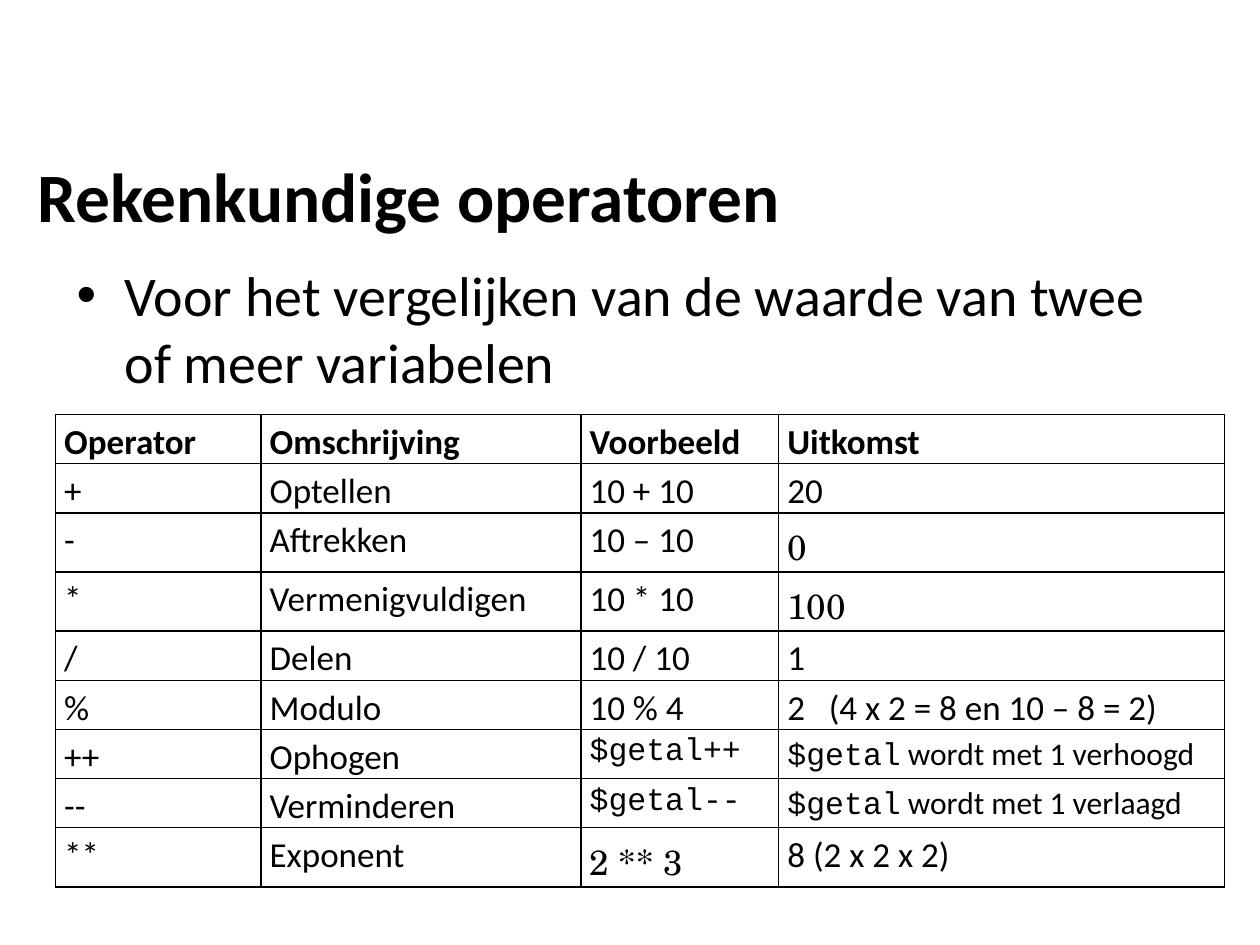
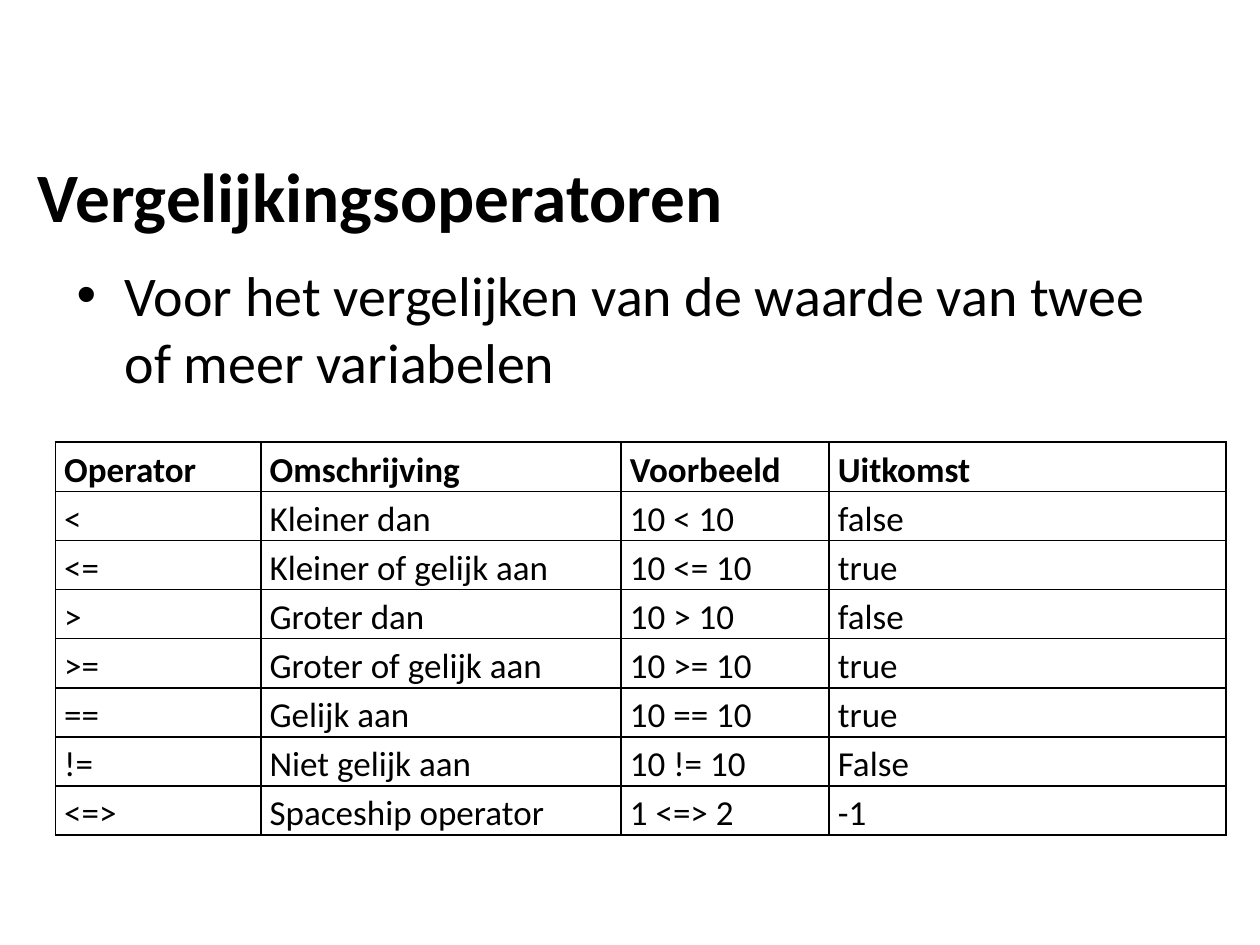
"""Build two slides that list arithmetic and comparison operators in tables."""
from lxml import etree
from pptx import Presentation
from pptx import util as u
from pptx.dml.color import RGBColor
from pptx.enum import text
from pptx.oxml import ns

BLACK = "000000"
BODY_FONT, CODE_FONT, SERIF_FONT = "Calibri", "Courier New", "TeX Gyre Schola"
SERIF_CELLS = {"0", "100", "2 ** 3"}
ROW_HEIGHT, SERIF_ROW_HEIGHT = 0.39, 0.47
INTRO = "Voor het vergelijken van de waarde van twee of meer variabelen"
HEADER = ("Operator", "Omschrijving", "Voorbeeld", "Uitkomst")

SLIDES = [
    ("Rekenkundige operatoren", 3.29, (1.63, 2.54, 1.57, 3.54), [
        HEADER,
        ("+", "Optellen", "10 + 10", "20"),
        ("-", "Aftrekken", "10 – 10", "0"),
        ("*", "Vermenigvuldigen", "10 * 10", "100"),
        ("/", "Delen", "10 / 10", "1"),
        ("%", "Modulo", "10 % 4", "2   (4 x 2 = 8 en 10 – 8 = 2)"),
        ("++", "Ophogen", "$getal++", "$getal wordt met 1 verhoogd"),
        ("--", "Verminderen", "$getal--", "$getal wordt met 1 verlaagd"),
        ("**", "Exponent", "2 ** 3", "8 (2 x 2 x 2)"),
    ]),
    ("Vergelijkingsoperatoren", 3.51, (1.63, 2.86, 1.65, 3.15), [
        HEADER,
        ("<", "Kleiner dan", "10 < 10", "false"),
        ("<=", "Kleiner of gelijk aan", "10 <= 10", "true"),
        (">", "Groter dan", "10 > 10", "false"),
        (">=", "Groter of gelijk aan", "10 >= 10", "true"),
        ("==", "Gelijk aan", "10 == 10", "true"),
        ("!=", "Niet gelijk aan", "10 != 10", "False"),
        ("<=>", "Spaceship operator", "1 <=> 2", "-1"),
    ]),
]


def style(r, size, font=BODY_FONT, bold=False, color=BLACK):
    r.font.size = u.Pt(size)
    r.font.name = font
    r.font.bold = bold
    r.font.color.rgb = RGBColor.from_string(color)


def add_borders(cell, color=BLACK):
    tcPr = cell._tc.get_or_add_tcPr()
    for side in ("lnL", "lnR", "lnT", "lnB"):
        ln = etree.SubElement(tcPr, ns.qn(f"a:{side}"), w=str(u.Pt(1)))
        fill = etree.SubElement(ln, ns.qn("a:solidFill"))
        etree.SubElement(fill, ns.qn("a:srgbClr"), val=color)


prs = Presentation()
prs.slide_width, prs.slide_height = u.Inches(10), u.Inches(7.5)

for title, table_top, widths, rows in SLIDES:
    s = prs.slides.add_slide(prs.slide_layouts[5])

    sp = s.shapes.title
    sp.left, sp.top = u.Inches(0.2), u.Inches(1.15)
    sp.width, sp.height = u.Inches(9.61), u.Inches(0.79)
    tf = sp.text_frame
    tf.text = title
    tf.auto_size = text.MSO_AUTO_SIZE.NONE
    tf.vertical_anchor = text.MSO_ANCHOR.MIDDLE
    p = tf.paragraphs[0]
    p.alignment = text.PP_ALIGN.LEFT
    style(p.runs[0], 39.6, bold=True)

    sp = s.shapes.add_textbox(u.Inches(0.51), u.Inches(2.02), u.Inches(8.99), u.Inches(4.68))
    tf = sp.text_frame
    tf.word_wrap = True
    tf.text = INTRO
    p = tf.paragraphs[0]
    p.space_before = u.Pt(6.4)
    pPr = p._p.get_or_add_pPr()
    pPr.set("marL", str(u.Inches(0.38)))
    pPr.set("indent", str(u.Inches(-0.38)))
    etree.SubElement(pPr, ns.qn("a:buFont"), typeface="Arial")
    etree.SubElement(pPr, ns.qn("a:buChar"), char="•")
    style(p.runs[0], 32)

    heights = [SERIF_ROW_HEIGHT if SERIF_CELLS & set(values) else ROW_HEIGHT for values in rows]
    table = s.shapes.add_table(
        len(rows), len(HEADER), u.Inches(0.44), u.Inches(table_top),
        u.Inches(sum(widths)), u.Inches(sum(heights))).table
    table.horz_banding = False
    for column, width in zip(table.columns, widths):
        column.width = u.Inches(width)

    for i, values in enumerate(rows):
        table.rows[i].height = u.Inches(heights[i])
        for j, value in enumerate(values):
            cell = table.cell(i, j)
            cell.margin_left = cell.margin_right = u.Inches(0.07)
            cell.margin_top = cell.margin_bottom = 0
            add_borders(cell)
            cell.fill.background()
            p = cell.text_frame.paragraphs[0]
            p.line_spacing = 1.15
            if value.startswith("$"):
                code, space, rest = value.partition(" ")
                p.text = code
                style(p.runs[0], 18, CODE_FONT)
                if rest:
                    r = p.add_run()
                    r.text = space + rest
                    style(r, 18)
            else:
                p.text = value
                font = SERIF_FONT if value in SERIF_CELLS else BODY_FONT
                style(p.runs[0], 20, font, bold=i == 0)

prs.save("out.pptx")
